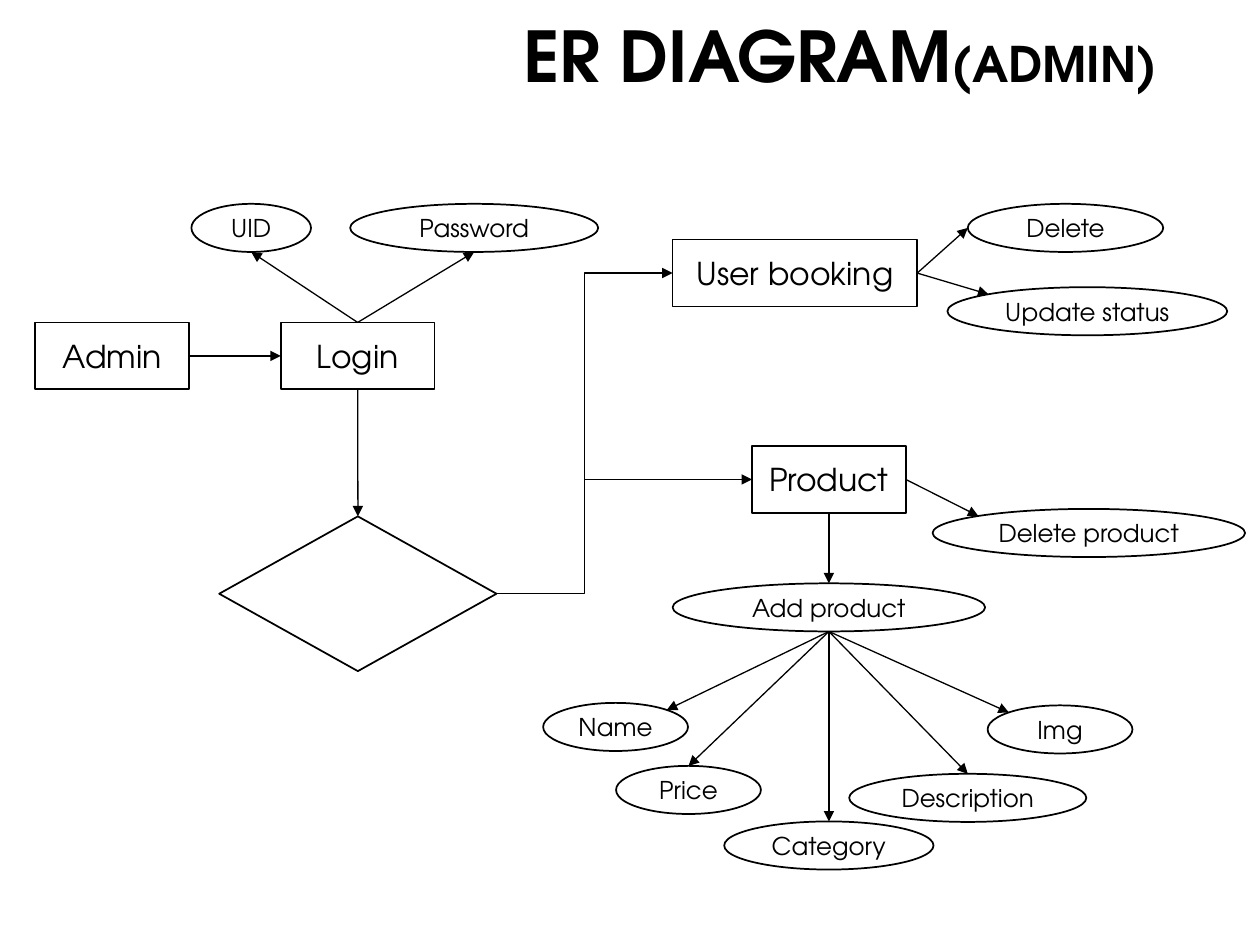
from dataclasses import dataclass
from enum import Enum
from math import sqrt

from pptx import Presentation
from pptx.dml.color import RGBColor
from pptx.enum.shapes import MSO_CONNECTOR, MSO_SHAPE
from pptx.enum.text import MSO_ANCHOR, PP_ALIGN
from pptx.oxml.ns import qn
from pptx.shapes.autoshape import Shape
from pptx.shapes.connector import Connector
from pptx.util import Cm, Pt
from lxml.etree import SubElement

BLACK = RGBColor(0x00, 0x00, 0x00)
WHITE = RGBColor(0xFF, 0xFF, 0xFF)
FONT = "TeX Gyre Adventor"

ENTITY, ATTRIBUTE, DECISION = MSO_SHAPE.RECTANGLE, MSO_SHAPE.OVAL, MSO_SHAPE.DIAMOND
TEXT_SIZES = {ENTITY: 18, ATTRIBUTE: 14, DECISION: 18}
FRAME_FORMAT = {
    "word_wrap": True,
    "vertical_anchor": MSO_ANCHOR.MIDDLE,
    "margin_left": 0,
    "margin_right": 0,
    "margin_top": 0,
    "margin_bottom": 0,
}


class Side(Enum):
    """Direction from the centre of a node to a point on its outline."""
    TOP = (0, -1)
    LEFT = (-1, 0)
    BOTTOM = (0, 1)
    RIGHT = (1, 0)
    TOP_LEFT = (-1, -1)
    TOP_RIGHT = (1, -1)


SITES = {Side.TOP: 0, Side.LEFT: 1, Side.BOTTOM: 2, Side.RIGHT: 3}


@dataclass(frozen=True)
class Node:
    label: str
    left: float
    top: float
    width: float = 3.1
    height: float = 1.35
    kind: MSO_SHAPE = ENTITY

    def point(self, side: Side) -> tuple[float, float]:
        dx, dy = side.value
        reach = 0.5 * (sqrt(0.5) if dx and dy else 1)
        return (self.left + self.width * (0.5 + dx * reach),
                self.top + self.height * (0.5 + dy * reach))

    def site(self, side: Side) -> int | None:
        # An ellipse has eight sites; only its top shares a number with a rectangle
        if self.kind == ATTRIBUTE and side != Side.TOP:
            return None
        return SITES.get(side)


@dataclass(frozen=True)
class Link:
    source: Node
    source_side: Side
    target: Node
    target_side: Side
    route: MSO_CONNECTOR = MSO_CONNECTOR.STRAIGHT


def attribute(label: str, left: float, top: float, width: float = 2.92) -> Node:
    return Node(label, left, top, width, 0.97, ATTRIBUTE)


def set_format(target: object, values: dict) -> None:
    for name, value in values.items():
        setattr(target, name, value)


def add_run(paragraph, text: str, size: float, bold: bool = False) -> None:
    run = paragraph.add_run()
    run.text = text
    set_format(run.font, {"name": FONT, "size": Pt(size), "bold": bold})
    run.font.color.rgb = BLACK


def draw_node(slide, node: Node) -> Shape:
    shape = slide.shapes.add_shape(
        node.kind, Cm(node.left), Cm(node.top), Cm(node.width), Cm(node.height))
    shape.shadow.inherit = False
    shape.fill.solid()
    shape.fill.fore_color.rgb = WHITE
    shape.line.color.rgb = BLACK
    shape.line.width = Pt(1)
    if node.label:
        set_format(shape.text_frame, FRAME_FORMAT)
        paragraph = shape.text_frame.paragraphs[0]
        paragraph.alignment = PP_ALIGN.CENTER
        add_run(paragraph, node.label, TEXT_SIZES[node.kind])
    return shape


def draw_arrow(slide, start: tuple[float, float], end: tuple[float, float],
               route: MSO_CONNECTOR = MSO_CONNECTOR.STRAIGHT) -> Connector:
    arrow = slide.shapes.add_connector(route, *map(Cm, start + end))
    arrow.line.color.rgb = BLACK
    arrow.line.width = Pt(0.75)
    SubElement(arrow.line._get_or_add_ln(), qn("a:tailEnd"), type="triangle")
    SubElement(arrow._element.spPr, qn("a:effectLst"))
    return arrow


def draw_link(slide, link: Link, shapes: dict[Node, Shape]) -> None:
    arrow = draw_arrow(slide, link.source.point(link.source_side),
                       link.target.point(link.target_side), link.route)
    ends = ((arrow.begin_connect, link.source, link.source_side),
            (arrow.end_connect, link.target, link.target_side))
    for connect, node, side in ends:
        site = node.site(side)
        if site is not None:
            connect(shapes[node], site)


# Entities and the decision
admin = Node("Admin", 0.71, 6.5)
login = Node("Login", 5.66, 6.5)
booking = Node("User booking", 13.56, 4.83, 4.93)
product = Node("Product", 15.16, 8.99)
decision = Node("", 4.42, 10.41, 5.59, 3.12, DECISION)

# Attributes
uid = attribute("UID", 3.86, 4.11, 2.41)
password = attribute("Password", 7.06, 4.11, 5)
delete = attribute("Delete", 19.51, 4.11, 3.94)
update_status = attribute("Update status", 19.1, 5.79, 5.64)
delete_product = attribute("Delete product", 18.8, 10.26, 6.3)
add_product = attribute("Add product", 13.56, 11.76, 6.3)
name = attribute("Name", 10.95, 14.17)
price = attribute("Price", 12.42, 15.44)
category = attribute("Category", 14.6, 16.56, 4.22)
description = attribute("Description", 17.12, 15.6, 4.78)
img = attribute("Img", 19.91, 14.22)

NODES = [admin, login, booking, product, decision, uid, password, delete,
         update_status, delete_product, add_product, name, price, category,
         description, img]

PRODUCT_FIELDS = {name: Side.TOP_RIGHT, price: Side.TOP, category: Side.TOP,
                  description: Side.TOP, img: Side.TOP_LEFT}

LINKS = [
    Link(admin, Side.RIGHT, login, Side.LEFT),
    Link(login, Side.BOTTOM, decision, Side.TOP),
    Link(decision, Side.RIGHT, booking, Side.LEFT, MSO_CONNECTOR.ELBOW),
    Link(login, Side.TOP, uid, Side.BOTTOM),
    Link(login, Side.TOP, password, Side.BOTTOM),
    Link(booking, Side.RIGHT, delete, Side.LEFT),
    Link(booking, Side.RIGHT, update_status, Side.TOP_LEFT),
    Link(product, Side.RIGHT, delete_product, Side.TOP_LEFT),
    Link(product, Side.BOTTOM, add_product, Side.TOP),
    *(Link(add_product, Side.BOTTOM, field, side)
      for field, side in PRODUCT_FIELDS.items()),
]


def main() -> None:
    deck = Presentation()
    set_format(deck, {"slide_width": Cm(25.4), "slide_height": Cm(19.05)})
    slide = deck.slides.add_slide(deck.slide_layouts[6])

    # Title
    title = slide.shapes.add_textbox(Cm(8.71), Cm(0.33), Cm(15.42), Cm(1.85))
    set_format(title.text_frame, {"word_wrap": True, "margin_right": Cm(0.8)})
    heading = title.text_frame.paragraphs[0]
    set_format(heading, {"alignment": PP_ALIGN.RIGHT, "line_spacing": 0.9})
    add_run(heading, "ER DIAGRAM", 40, bold=True)
    add_run(heading, "(ADMIN)", 28, bold=True)

    # Diagram
    shapes = {node: draw_node(slide, node) for node in NODES}
    for link in LINKS:
        draw_link(slide, link, shapes)

    # Branch from the middle of the bent arrow to the product
    trunk_x = (decision.point(Side.RIGHT)[0] + booking.left) / 2
    product_entry = product.point(Side.LEFT)
    branch = draw_arrow(slide, (trunk_x, product_entry[1]), product_entry)
    branch.end_connect(shapes[product], SITES[Side.LEFT])

    deck.save("out.pptx")


if __name__ == "__main__":
    main()
